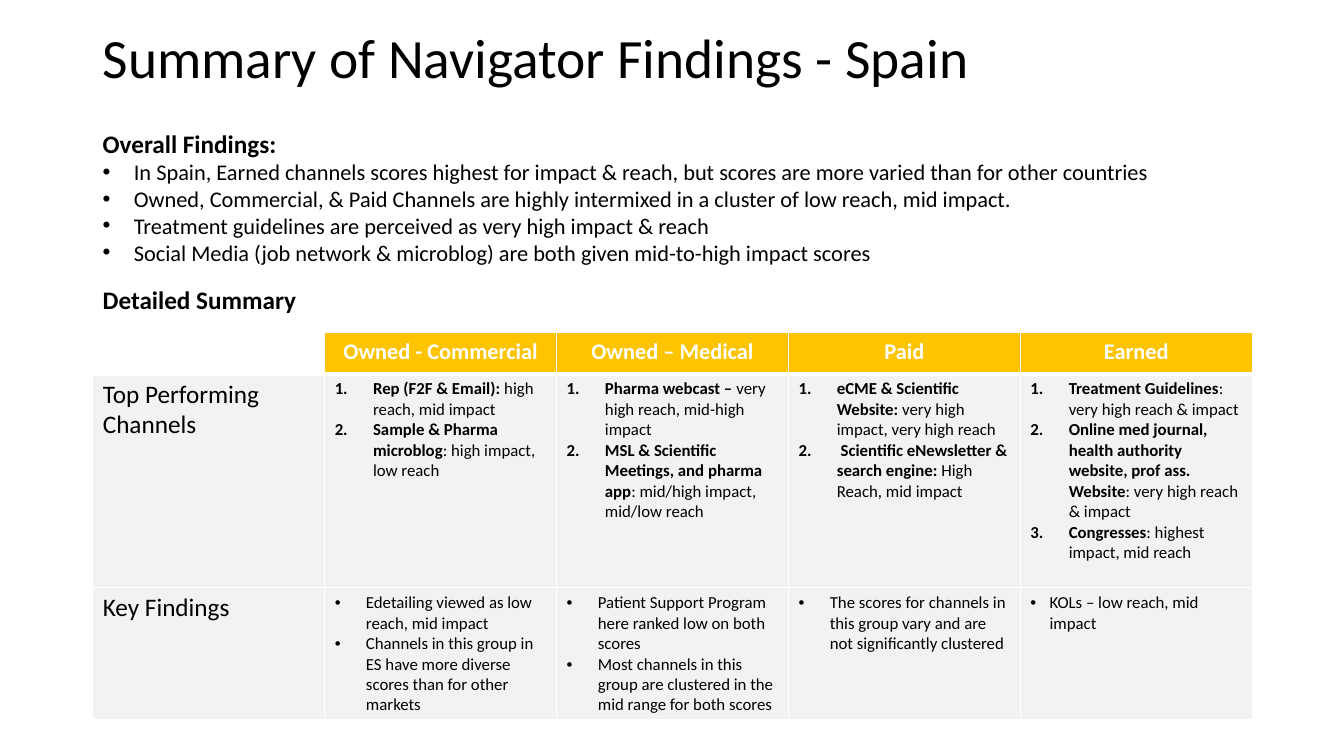
from dataclasses import dataclass

from lxml import etree
from pptx import Presentation
from pptx.dml.color import RGBColor
from pptx.enum.text import MSO_ANCHOR, PP_ALIGN
from pptx.oxml.ns import qn
from pptx.util import Inches, Pt

MIDDLE, TOP = MSO_ANCHOR.MIDDLE, MSO_ANCHOR.TOP
CENTER, LEFT = PP_ALIGN.CENTER, PP_ALIGN.LEFT


@dataclass(frozen=True)
class Theme:
    font: str = "Calibri"
    ink: str = "000000"
    paper: str = "FFFFFF"
    header: str = "FFC400"
    body: str = "F2F2F2"
    title_size: float = 39.6
    heading_size: int = 18
    text_size: int = 16
    cell_size: int = 12
    rule: int = 1
    header_rule: int = 3


THEME = Theme()

TITLE = "Summary of Navigator Findings - Spain"
OVERALL_HEADING = "Overall Findings:"
OVERALL_FINDINGS = [
    "In Spain, Earned channels scores highest for impact & reach, but scores are more varied than for other countries",
    "Owned, Commercial, & Paid Channels are highly intermixed in a cluster of low reach, mid impact.",
    "Treatment guidelines are perceived as very high impact & reach",
    "Social Media (job network & microblog) are both given mid-to-high impact scores",
]
DETAIL_HEADING = "Detailed Summary"
ROW_LABELS = ["Top Performing Channels", "Key Findings"]
# Each group: name, top channels as (bold, plain), key findings, bullet indent
GROUPS = [
    ("Owned - Commercial",
     [("Rep (F2F & Email): ", "high reach, mid impact"),
      ("Sample & Pharma microblog", ": high impact, low reach")],
     ["Edetailing viewed as low reach, mid impact",
      "Channels in this group in ES have more diverse scores than for other markets"], 0.31),
    ("Owned – Medical",
     [("Pharma webcast – ", "very high reach, mid-high impact"),
      ("MSL & Scientific Meetings, and pharma app", ": mid/high impact, mid/low reach")],
     ["Patient Support Program here ranked low on both scores",
      "Most channels in this group are clustered in the mid range for both scores"], 0.31),
    ("Paid",
     [("eCME & Scientific Website: ", "very high impact, very high reach"),
      (" Scientific eNewsletter & search engine: ", "High Reach, mid impact")],
     ["The scores for channels in this group vary and are not significantly clustered"], 0.31),
    ("Earned",
     [("Treatment Guidelines", ": very high reach & impact"),
      ("Online med journal, health authority website, prof ass. Website", ": very high reach & impact"),
      ("Congresses", ": highest impact, mid reach")],
     ["KOLs – low reach, mid impact"], 0.19),
]

PAGE_WIDTH, PAGE_HEIGHT = 13.33, 7.5
MARGIN, CONTENT_WIDTH = 0.92, 11.5
ROW_HEIGHTS = [0.41, 2.12, 1.31]
NUMBER_INDENT, BULLET_INDENT = 0.38, 0.31


def add_box(page, top, width, height, anchor=TOP):
    box = page.shapes.add_textbox(Inches(MARGIN), Inches(top), Inches(width), Inches(height))
    box.text_frame.word_wrap = True
    box.text_frame.vertical_anchor = anchor
    return box.text_frame


def write(frame, spans, size, color=THEME.ink, bold=False, align=LEFT):
    """Fill the first empty paragraph, or a new one, with (text, bold) spans."""
    para = frame.paragraphs[0] if not frame.text else frame.add_paragraph()
    para.alignment = align
    para.font.name = THEME.font
    para.font.size = Pt(size)
    para.font.bold = bold
    para.font.color.rgb = RGBColor.from_string(color)
    if isinstance(spans, str):
        spans = [(spans, bold)]
    for text, is_bold in spans:
        span = para.add_run()
        span.text = text
        span.font.name = THEME.font
        span.font.size = Pt(size)
        span.font.bold = is_bold
        span.font.color.rgb = RGBColor.from_string(color)
    return para


def add_marker(para, indent, numbered=False):
    """Give a paragraph a hanging bullet or number."""
    properties = para._p.get_or_add_pPr()
    properties.set("marL", str(Inches(indent)))
    properties.set("indent", str(-Inches(indent)))
    if numbered:
        marker = etree.Element(qn("a:buAutoNum"), type="arabicPeriod")
    else:
        marker = etree.Element(qn("a:buChar"), char="•")
        properties.insert(0, etree.Element(qn("a:buFont"), typeface="Arial"))
    properties.insert(len(properties.findall(qn("a:buFont"))), marker)


def style_cell(cell, fill, rules):
    """Set the fill and the left, right, top and bottom rule widths."""
    cell.fill.solid()
    cell.fill.fore_color.rgb = RGBColor.from_string(fill)
    properties = cell._tc.get_or_add_tcPr()
    for place, (side, width) in enumerate(zip("LRTB", rules)):
        line = etree.Element(qn(f"a:ln{side}"), w=str(Pt(width)))
        solid = etree.SubElement(line, qn("a:solidFill"))
        etree.SubElement(solid, qn("a:srgbClr"), val=THEME.paper)
        properties.insert(place, line)


def add_summary_table(page):
    columns = len(GROUPS) + 1
    frame = page.shapes.add_table(
        len(ROW_HEIGHTS), columns, Inches(MARGIN), Inches(3.3),
        Inches(CONTENT_WIDTH), Inches(sum(ROW_HEIGHTS)))
    table = frame.table
    table.first_row = table.horz_banding = False
    for column in table.columns:
        column.width = Inches(CONTENT_WIDTH / columns)
    for index, height in enumerate(ROW_HEIGHTS):
        table.rows[index].height = Inches(height)
        top = THEME.header_rule if index == 1 else THEME.rule
        bottom = THEME.header_rule if index == 0 else THEME.rule
        for column in range(columns):
            fill = THEME.body if index else THEME.header if column else THEME.paper
            style_cell(table.cell(index, column), fill, (THEME.rule, THEME.rule, top, bottom))

    for index, label in enumerate(ROW_LABELS, 1):
        write(table.cell(index, 0).text_frame, label, THEME.heading_size)
    for column, (name, channels, findings, indent) in enumerate(GROUPS, 1):
        header, top_channels, key_findings = (
            table.cell(index, column).text_frame for index in range(len(ROW_HEIGHTS)))
        write(header, name, THEME.text_size, THEME.paper, True, CENTER)
        for channel, score in channels:
            para = write(top_channels, [(channel, True), (score, False)], THEME.cell_size)
            add_marker(para, NUMBER_INDENT, numbered=True)
        for finding in findings:
            add_marker(write(key_findings, finding, THEME.cell_size), indent)


def main():
    deck = Presentation()
    deck.slide_width, deck.slide_height = Inches(PAGE_WIDTH), Inches(PAGE_HEIGHT)
    page = deck.slides.add_slide(deck.slide_layouts[6])

    title = write(add_box(page, 0.25, CONTENT_WIDTH, 0.71, MIDDLE), TITLE, THEME.title_size)
    title.line_spacing = 0.9
    add_summary_table(page)
    write(add_box(page, 2.77, 4.49, 0.4), DETAIL_HEADING, THEME.heading_size, bold=True)
    overall = add_box(page, 1.22, CONTENT_WIDTH, 1.48)
    write(overall, OVERALL_HEADING, THEME.heading_size, bold=True)
    for finding in OVERALL_FINDINGS:
        add_marker(write(overall, finding, THEME.text_size), BULLET_INDENT)

    deck.save("out.pptx")


if __name__ == "__main__":
    main()
